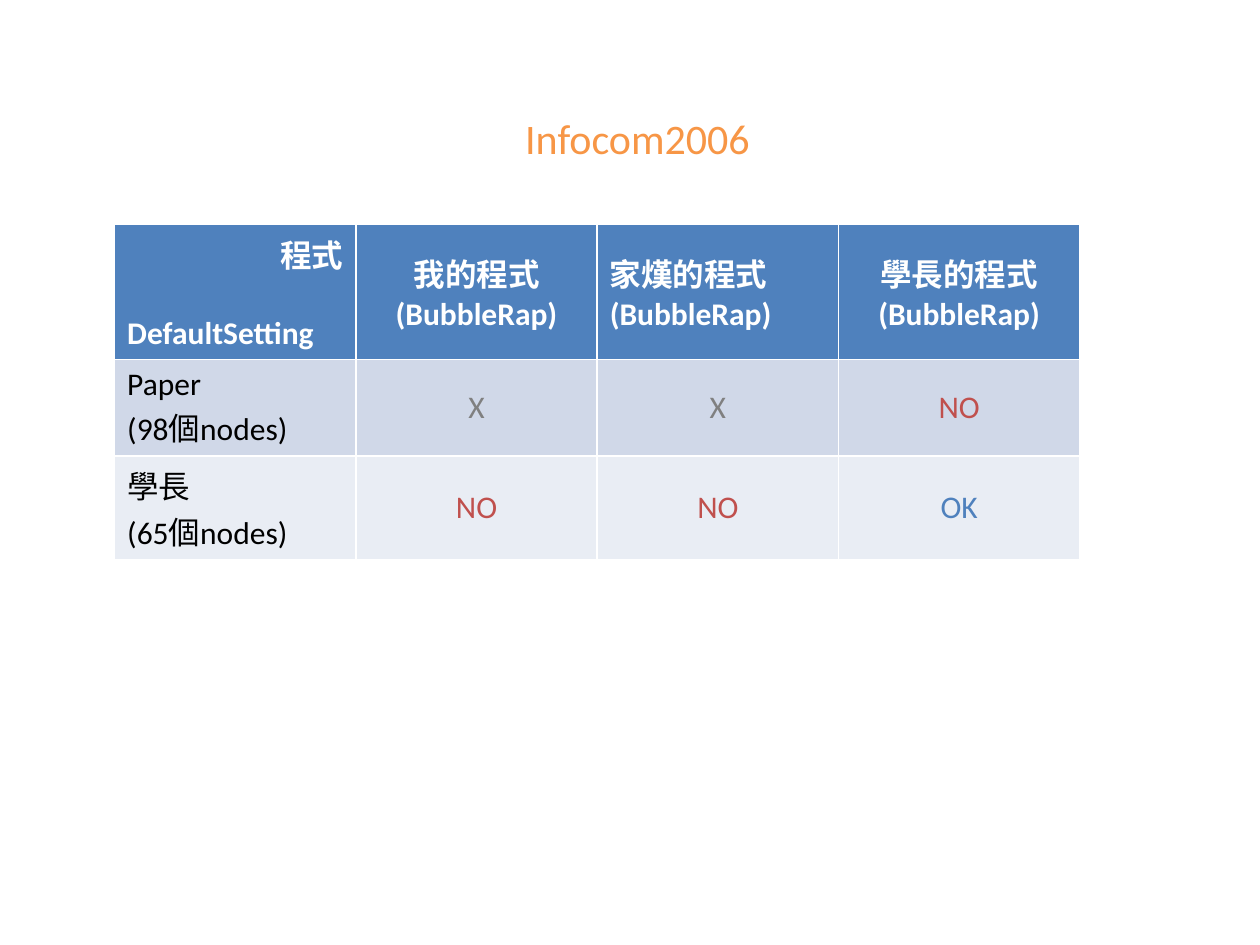
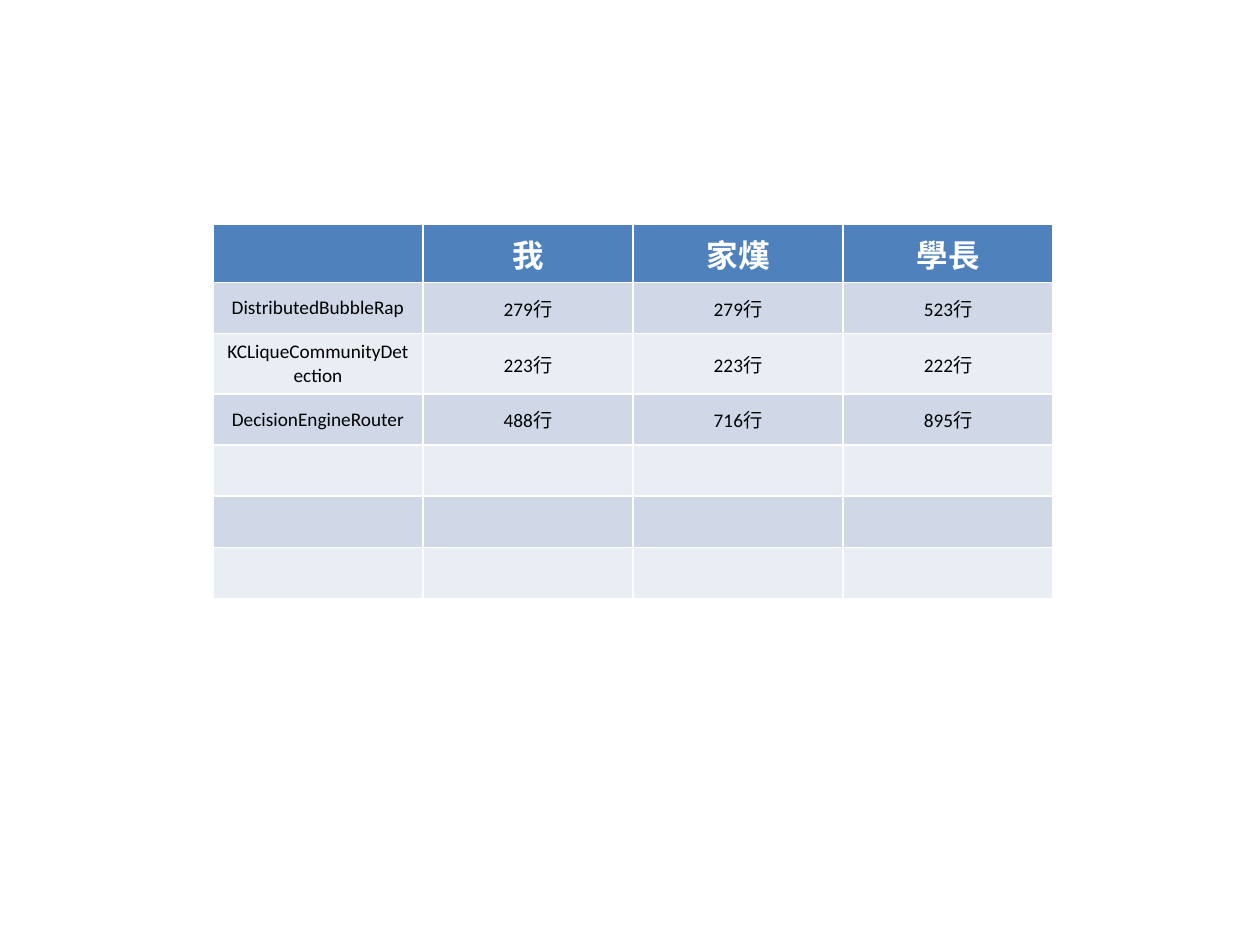
"""Build two slides of tables comparing the routing programs and their line counts."""
from pptx import Presentation
from pptx.dml.color import RGBColor
from pptx.enum.text import MSO_ANCHOR, PP_ALIGN
from pptx.util import Inches, Pt

CENTER, LEFT, RIGHT = PP_ALIGN.CENTER, PP_ALIGN.LEFT, PP_ALIGN.RIGHT
TOP, MIDDLE = MSO_ANCHOR.TOP, MSO_ANCHOR.MIDDLE
FONT = "Calibri"
COLORS = {
    "header": "4F81BD",
    "band_dark": "D0D8E8",
    "band_light": "E9EDF4",
    "white": "FFFFFF",
    "black": "000000",
    "orange": "F79646",
}
RESULT_COLORS = {"X": "808080", "NO": "C0504D", "OK": "4F81BD"}


def style_text(text_frame, size, color, bold=False, alignment=CENTER):
    for paragraph in text_frame.paragraphs:
        paragraph.alignment = alignment
        for run in paragraph.runs:
            run.font.name = FONT
            run.font.size = Pt(size)
            run.font.bold = bold
            run.font.color.rgb = RGBColor.from_string(color)


def add_table(slide, rows, left, column_width, row_height, body_size):
    row_count, column_count = len(rows), len(rows[0])
    table = slide.shapes.add_table(
        row_count, column_count, Inches(left), Inches(1.78),
        Inches(column_width * column_count), Inches(row_height * row_count),
    ).table
    for row_index, row in enumerate(rows):
        is_header = row_index == 0
        band = "header" if is_header else ("band_light", "band_dark")[row_index % 2]
        for column_index, text in enumerate(row):
            cell = table.cell(row_index, column_index)
            cell.fill.solid()
            cell.fill.fore_color.rgb = RGBColor.from_string(COLORS[band])
            cell.vertical_anchor = MIDDLE
            if text:
                cell.text_frame.text = text
                color = COLORS["white"] if is_header else RESULT_COLORS.get(text, COLORS["black"])
                style_text(cell.text_frame, 18 if is_header else body_size, color, is_header)
    return table


presentation = Presentation()
presentation.slide_width = Inches(10)
presentation.slide_height = Inches(7.5)
title_only, blank = presentation.slide_layouts[5], presentation.slide_layouts[6]

results_slide = presentation.slides.add_slide(title_only)
title = results_slide.shapes.title
title.left, title.top, title.width, title.height = (
    Inches(length) for length in (4.06, 0.84, 2, 0.5)
)
title.text_frame.text = "Infocom2006"
title.text_frame.word_wrap = False
style_text(title.text_frame, 24, COLORS["orange"])

results = [
    ["程式\nDefaultSetting", "我的程式\v(BubbleRap)", "家熯的程式\v(BubbleRap)", "學長的程式\v(BubbleRap)"],
    ["Paper\n(98個nodes)", "X", "X", "NO"],
    ["學長\n(65個nodes)", "NO", "NO", "OK"],
]
results_table = add_table(results_slide, results, 0.91, 1.915, 0.71, 18)
for row in results_table.rows:
    label = row.cells[0]
    label.vertical_anchor = TOP
    for paragraph in label.text_frame.paragraphs:
        paragraph.alignment = LEFT
program_label, setting_label = results_table.cell(0, 0).text_frame.paragraphs
program_label.alignment = RIGHT
setting_label.space_before = Pt(22)
results_table.cell(0, 2).text_frame.paragraphs[0].alignment = LEFT

line_count_slide = presentation.slides.add_slide(blank)
line_counts = {
    "DistributedBubbleRap": (279, 279, 523),
    "KCLiqueCommunityDetection": (223, 223, 222),
    "DecisionEngineRouter": (488, 716, 895),
}
line_count_rows = [["", "我", "家熯", "學長"]]
for class_name, counts in line_counts.items():
    line_count_rows.append([class_name] + [f"{count}行" for count in counts])
line_count_rows += [[""] * 4] * 3
add_table(line_count_slide, line_count_rows, 1.69, 1.667, 0.406, 11)

presentation.save("out.pptx")
